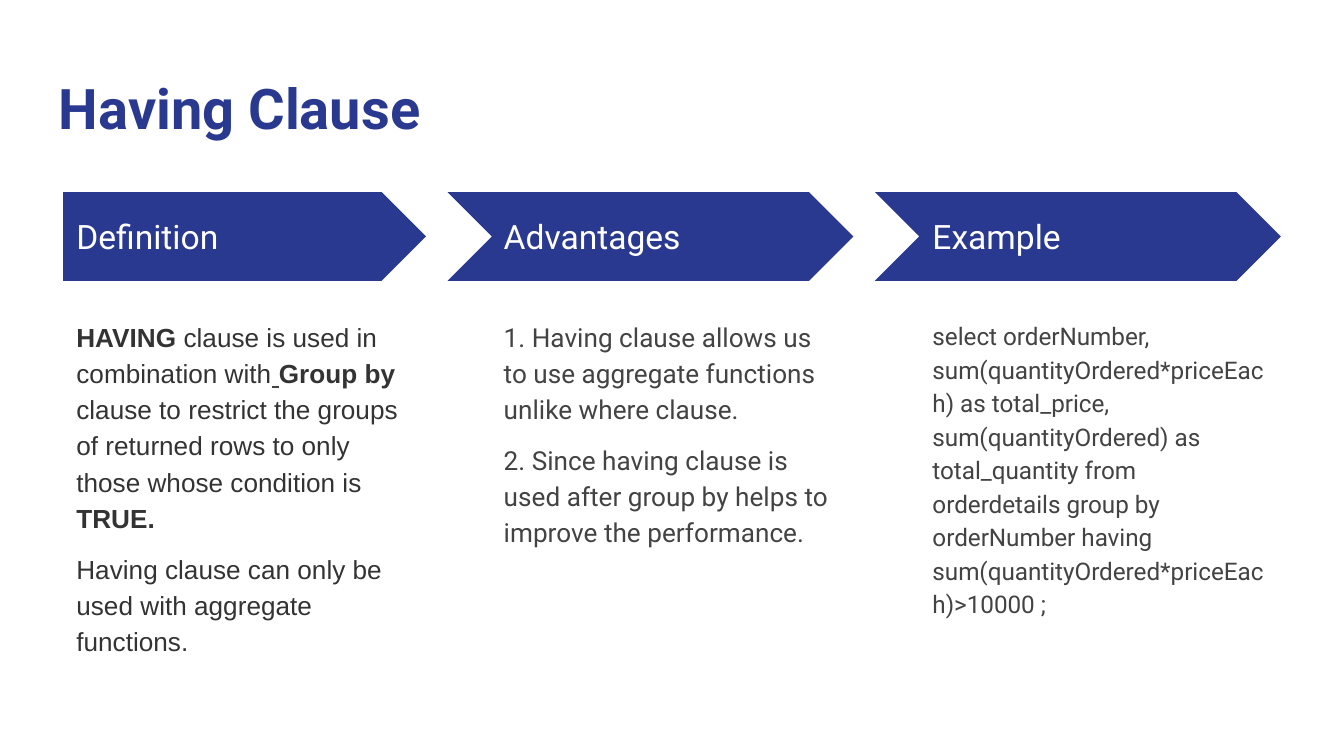
from dataclasses import dataclass

from lxml import etree
from pptx import Presentation
from pptx.dml.color import RGBColor
from pptx.enum import shapes, text
from pptx.oxml import ns
from pptx.util import Inches, Pt


@dataclass(frozen=True)
class Theme:
    navy: RGBColor = RGBColor.from_string("2A3990")
    white: RGBColor = RGBColor.from_string("FFFFFF")
    dark: RGBColor = RGBColor.from_string("333333")
    grey: RGBColor = RGBColor.from_string("434343")
    pink: RGBColor = RGBColor.from_string("F06292")
    main_font: str = "Roboto"
    definition_font: str = "Arial"
    title_size: int = 30
    heading_size: int = 18
    body_size: int = 14
    code_size: int = 13


THEME = Theme()

DEFINITION = [
    [
        ("HAVING ", "bold"),
        ("clause is used in combination with", "plain"),
        (" ", "underlined"),
        ("Group by ", "bold"),
        ("clause to restrict the groups of returned rows to only those whose condition is", "plain"),
        (" TRUE.", "bold"),
    ],
    [("Having clause can only be used with aggregate functions.", "plain")],
]
ADVANTAGES = [
    [("1. Having clause allows us to use aggregate functions unlike where clause.", "plain")],
    [("2. Since having clause is used after group by helps to improve the performance.", "plain")],
]
EXAMPLE = [
    [(
        "select orderNumber, sum(quantityOrdered*priceEach) as total_price, "
        "sum(quantityOrdered) as total_quantity from orderdetails group by "
        "orderNumber having sum(quantityOrdered*priceEach)>10000 ;",
        "plain",
    )],
]


def add_text_frame(slide, left, top, width, height):
    frame = slide.shapes.add_textbox(
        Inches(left), Inches(top), Inches(width), Inches(height)
    ).text_frame
    frame.word_wrap = True
    frame.margin_left = frame.margin_right = Inches(0.1)
    frame.margin_top = frame.margin_bottom = Inches(0.1)
    return frame


def set_font(font, name, size, color, bold=False):
    font.name = name
    font.size = Pt(size)
    font.color.rgb = color
    font.bold = bold


def underline(run, color):
    run.font.underline = True
    line_fill = etree.Element(ns.qn("a:uFill"))
    solid = etree.SubElement(line_fill, ns.qn("a:solidFill"))
    etree.SubElement(solid, ns.qn("a:srgbClr"), val=str(color))
    run._r.rPr.find(ns.qn("a:latin")).addprevious(line_fill)


def add_line(slide, wording, place, size, color, bold=False):
    frame = add_text_frame(slide, *place)
    line = frame.paragraphs[0]
    line.text = wording
    set_font(line.font, THEME.main_font, size, color, bold)
    return frame


def add_banner(slide, outline, left, width):
    banner = slide.shapes.add_shape(
        outline, Inches(left), Inches(1.43), Inches(width), Inches(0.66)
    )
    banner.shadow.inherit = False
    banner.fill.solid()
    banner.fill.fore_color.rgb = THEME.navy
    banner.line.fill.background()


def add_heading(slide, wording, left):
    heading = add_line(
        slide, wording, (left, 1.59, 2.47, 0.34), THEME.heading_size, THEME.white
    )
    heading.vertical_anchor = text.MSO_ANCHOR.MIDDLE


def add_body(slide, content, left, font_name, size, color):
    frame = add_text_frame(slide, left, 2.26, 2.7, 2.9)
    for index, pieces in enumerate(content):
        paragraph = frame.add_paragraph() if index else frame.paragraphs[0]
        paragraph.line_spacing = 1.15
        paragraph.space_before = Pt(8 if index else 0)
        set_font(paragraph.font, font_name, size, color)
        for wording, style in pieces:
            run = paragraph.add_run()
            run.text = wording
            run_color = THEME.pink if style == "underlined" else color
            set_font(run.font, font_name, size, run_color, style == "bold")
            if style == "underlined":
                underline(run, THEME.grey)


def main():
    deck = Presentation()
    deck.slide_width = Inches(10)
    deck.slide_height = deck.slide_width * 9 // 16
    slide = deck.slides.add_slide(deck.slide_layouts[6])

    add_line(
        slide, "Having Clause", (0.34, 0.45, 9.32, 0.66),
        THEME.title_size, THEME.navy, bold=True,
    )

    pentagon, chevron = shapes.MSO_SHAPE.PENTAGON, shapes.MSO_SHAPE.CHEVRON
    main_font, body_size = THEME.main_font, THEME.body_size
    columns = [
        ("Definition", pentagon, 0.47, 2.7, 0.47,
         DEFINITION, THEME.definition_font, body_size, THEME.dark),
        ("Advantages", chevron, 3.33, 3.02, 3.65,
         ADVANTAGES, main_font, body_size, THEME.grey),
        ("Example", chevron, 6.51, 3.02, 6.84,
         EXAMPLE, main_font, THEME.code_size, THEME.grey),
    ]
    for heading, outline, left, width, text_left, content, font, size, color in columns:
        add_banner(slide, outline, left, width)
        add_heading(slide, heading, text_left)
        add_body(slide, content, text_left, font, size, color)

    deck.save("out.pptx")


if __name__ == "__main__":
    main()
